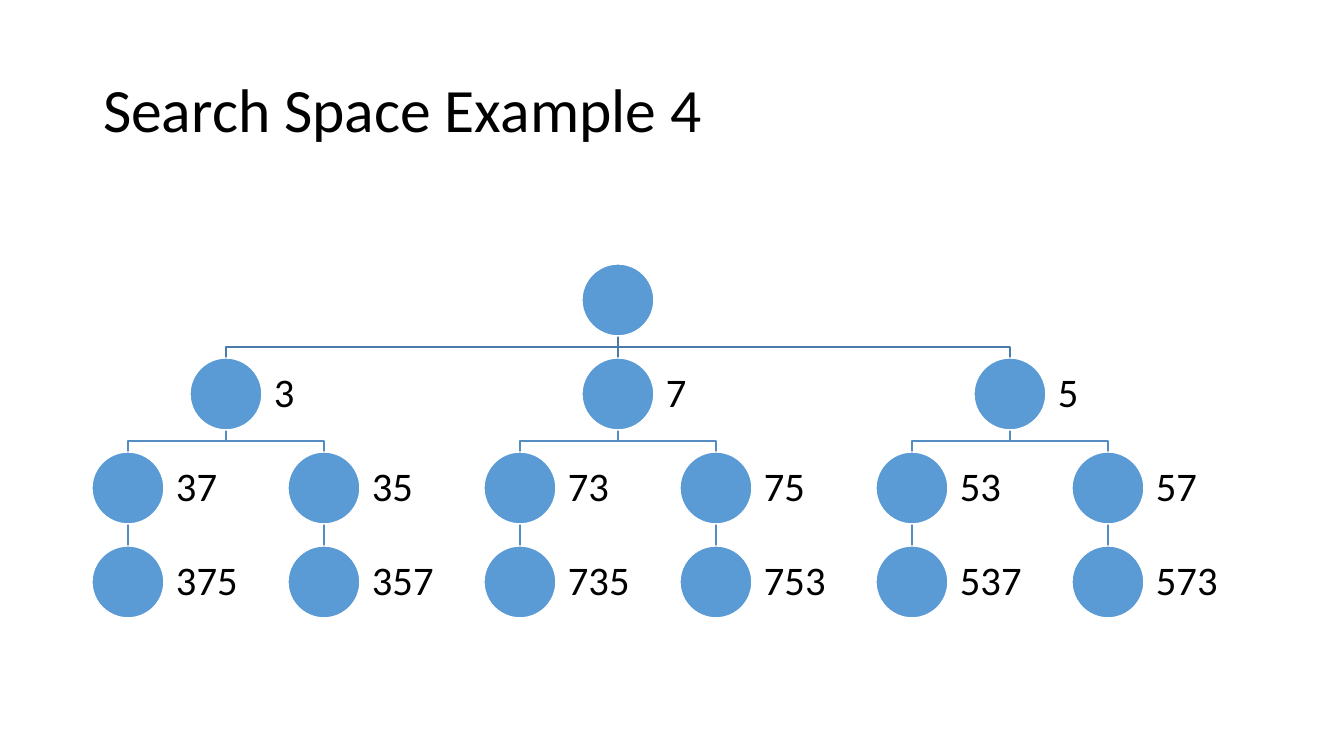
from dataclasses import dataclass
from itertools import permutations

from lxml import etree
from pptx import Presentation
from pptx import util as u
from pptx.dml.color import RGBColor
from pptx.enum import shapes, text
from pptx.oxml.ns import qn

EMU_PER_PX = 914400 / 100.8


def px(length):
    return u.Emu(round(length * EMU_PER_PX))


@dataclass(frozen=True)
class Theme:
    font: str = "Calibri"
    title_size: int = 44
    label_size: int = 29
    ink: str = "000000"
    node: str = "5B9BD5"
    node_edge: str = "FFFFFF"
    root_branch: str = "497CAB"
    branch: str = "538DC1"
    line_width: int = 1
    line_spacing: float = 0.9


class TreeSlide:
    def __init__(self, prs, theme):
        self.theme = theme
        self.slide = prs.slides.add_slide(prs.slide_layouts[5])
        self.shapes = self.slide.shapes

    def set_words(self, frame, words, size):
        frame.word_wrap = True
        frame.auto_size = text.MSO_AUTO_SIZE.NONE
        frame.vertical_anchor = text.MSO_ANCHOR.MIDDLE
        paragraph = frame.paragraphs[0]
        paragraph.alignment = text.PP_ALIGN.LEFT
        paragraph.line_spacing = self.theme.line_spacing
        run = paragraph.add_run()
        run.text = words
        run.font.name = self.theme.font
        run.font.size = u.Pt(size)
        run.font.color.rgb = RGBColor.from_string(self.theme.ink)

    def stroke(self, line, color):
        line.color.rgb = RGBColor.from_string(color)
        line.width = u.Pt(self.theme.line_width)

    def title(self, words, left, top, width, height):
        heading = self.shapes.title
        heading.left, heading.top = px(left), px(top)
        heading.width, heading.height = px(width), px(height)
        self.set_words(heading.text_frame, words, self.theme.title_size)

    def branch(self, start, end, color):
        """Join two points, with a bend halfway down when they are not aligned."""
        (x1, y1), (x2, y2) = start, end
        if x1 == x2:
            edge = self.shapes.add_connector(
                shapes.MSO_CONNECTOR.STRAIGHT, px(x1), px(y1), px(x2), px(y2))
            etree.SubElement(edge._element.spPr, qn("a:effectLst"))
        else:
            bend = (y1 + y2) // 2
            outline = self.shapes.build_freeform(x1, y1, scale=EMU_PER_PX)
            outline.add_line_segments([(x1, bend), (x2, bend), (x2, y2)], close=False)
            edge = outline.convert_to_shape()
            edge.fill.background()
            edge.shadow.inherit = False
        self.stroke(edge.line, color)

    def node(self, center, radius):
        x, y = center
        circle = self.shapes.add_shape(
            shapes.MSO_SHAPE.OVAL, px(x - radius), px(y - radius), px(2 * radius), px(2 * radius))
        circle.shadow.inherit = False
        circle.fill.solid()
        circle.fill.fore_color.rgb = RGBColor.from_string(self.theme.node)
        self.stroke(circle.line, self.theme.node_edge)

    def label(self, words, left, top, width, height, inset=12):
        frame = self.shapes.add_textbox(px(left), px(top), px(width), px(height)).text_frame
        frame.margin_left = frame.margin_right = px(inset)
        frame.margin_top = frame.margin_bottom = px(inset)
        self.set_words(frame, words, self.theme.label_size)


DIGITS = "375"
FIRST_LEAF_X, LEAF_PITCH = 128, 196
ROOT_Y, LEVEL_PITCH = 300, 94
RADIUS, LABEL_WIDTH = 36, 107


def tree_centers():
    """Map each digit prefix to its node centre, parents centred over their leaves."""
    leaf_count = len(list(permutations(DIGITS)))
    centers = {}
    for depth in range(len(DIGITS) + 1):
        prefixes = ["".join(p) for p in permutations(DIGITS, depth)]
        span = leaf_count // len(prefixes)
        for i, prefix in enumerate(prefixes):
            x = FIRST_LEAF_X + LEAF_PITCH * (2 * i * span + span - 1) // 2
            centers[prefix] = (x, ROOT_Y + depth * LEVEL_PITCH)
    return centers


def main():
    prs = Presentation()
    prs.slide_width, prs.slide_height = px(1344), px(756)
    theme = Theme()
    page = TreeSlide(prs, theme)
    page.title("Search Space Example 4", 93, 40, 1159, 146)

    centers = tree_centers()
    for prefix, (x, y) in centers.items():
        if prefix:
            parent_x, parent_y = centers[prefix[:-1]]
            color = theme.root_branch if len(prefix) == 1 else theme.branch
            page.branch((parent_x, parent_y + RADIUS), (x, y - RADIUS), color)

    for prefix, (x, y) in centers.items():
        page.node((x, y), RADIUS)
        if prefix:
            page.label(prefix, x + RADIUS, y - RADIUS, LABEL_WIDTH, 2 * RADIUS)

    prs.save("out.pptx")


if __name__ == "__main__":
    main()
